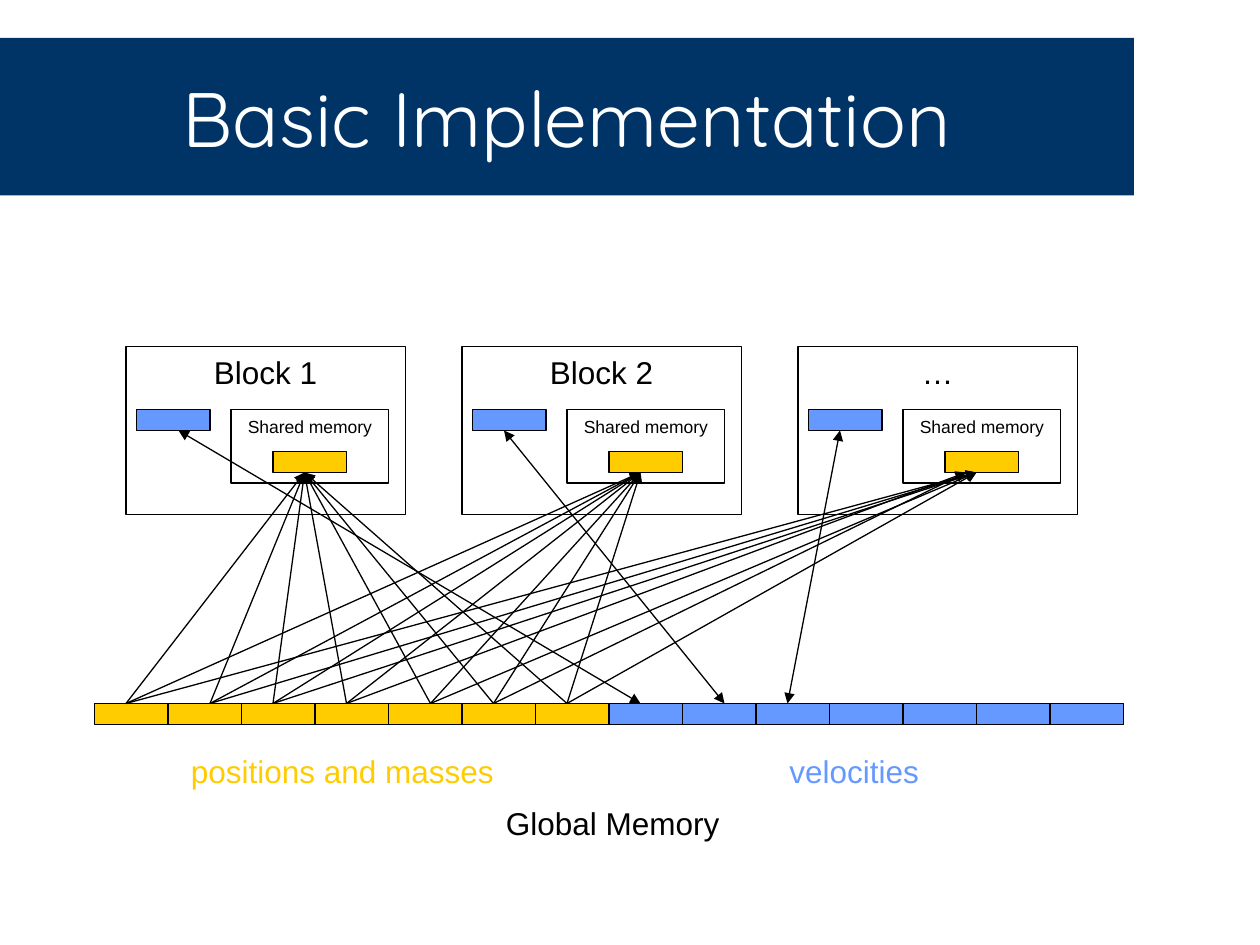
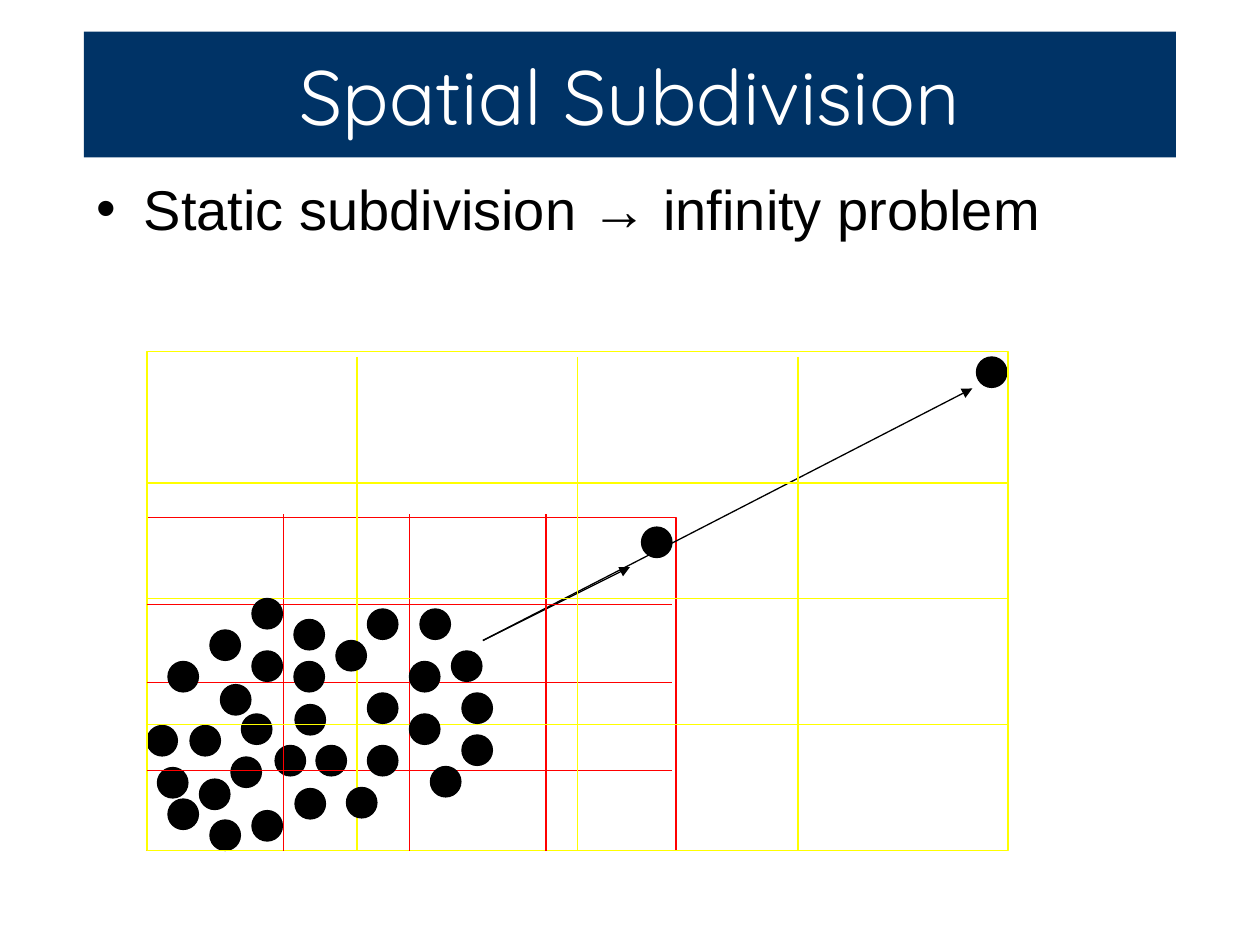
"""Build two slides on a particle simulation: memory layout and spatial subdivision."""
from lxml.etree import SubElement
from pptx import Presentation
from pptx.dml.color import RGBColor
from pptx.enum.shapes import MSO_CONNECTOR as Connector, MSO_SHAPE as Shape
from pptx.enum.text import MSO_ANCHOR as Anchor, MSO_AUTO_SIZE as AutoSize, PP_ALIGN as Align
from pptx.oxml.ns import qn
from pptx.util import Emu, Pt

PX = 7620
NAVY = RGBColor(0x00, 0x33, 0x66)
WHITE = RGBColor(0xFF, 0xFF, 0xFF)
BLACK = RGBColor(0x00, 0x00, 0x00)
GOLD = RGBColor(0xFF, 0xCC, 0x00)
BLUE = RGBColor(0x66, 0x99, 0xFF)
RED = RGBColor(0xFF, 0x00, 0x00)
YELLOW = RGBColor(0xFF, 0xFF, 0x00)

TITLE_ONLY, TITLE_AND_BODY = 5, 1
CELL_W, CELL_H, MEMORY_Y = 70, 20, 670
DOT = 29


def px(*lengths):
    return [Emu(length * PX) for length in lengths]


class Deck:
    """Hold the shared style and the slide being drawn."""

    title_font, text_font, line_width = "Quicksand", "Arial", Pt(0.75)

    def __init__(self):
        self.prs = Presentation()
        self.prs.slide_width, self.prs.slide_height = px(1200, 900)
        self.slide = None

    def add_text(self, frame, text, size, color, align, font=None):
        paragraph = frame.paragraphs[0]
        paragraph.alignment = align
        paragraph.space_before = Pt(0)
        run = paragraph.add_run()
        run.text = text
        run.font.name = font or self.text_font
        run.font.size = Pt(size)
        run.font.color.rgb = color

    def place(self, holder, box):
        holder.left, holder.top, holder.width, holder.height = px(*box)
        holder.text_frame.auto_size = AutoSize.NONE

    def new_slide(self, layout, title, box):
        self.slide = self.prs.slides.add_slide(self.prs.slide_layouts[layout])
        band = self.slide.shapes.title
        self.place(band, box)
        band.fill.solid()
        band.fill.fore_color.rgb = NAVY
        band.text_frame.vertical_anchor = Anchor.MIDDLE
        self.add_text(band.text_frame, title, 44, WHITE, Align.CENTER, self.title_font)

    def bullet(self, text, box):
        body = self.slide.placeholders[1]
        self.place(body, box)
        self.add_text(body.text_frame, text, 32, BLACK, Align.LEFT)

    def shape(self, kind, box, fill=None, line=BLACK, text=None, size=18):
        shape = self.slide.shapes.add_shape(kind, *px(*box))
        shape.shadow.inherit = False
        if fill is None:
            shape.fill.background()
        else:
            shape.fill.solid()
            shape.fill.fore_color.rgb = fill
        shape.line.color.rgb = line
        shape.line.width = self.line_width
        if text:
            shape.text_frame.vertical_anchor = Anchor.TOP
            shape.text_frame.word_wrap = False
            self.add_text(shape.text_frame, text, size, BLACK, Align.CENTER)

    def label(self, text, box, color):
        frame = self.slide.shapes.add_textbox(*px(*box)).text_frame
        frame.word_wrap = True
        self.add_text(frame, text, 18, color, Align.LEFT)

    def line(self, start, end, color=BLACK, heads=()):
        line = self.slide.shapes.add_connector(Connector.STRAIGHT, *px(*start, *end))
        line.line.color.rgb = color
        line.line.width = self.line_width
        properties = line.element.spPr
        for head in heads:
            SubElement(properties.find(qn("a:ln")), qn(head), type="triangle")
        SubElement(properties, qn("a:effectLst"))

    def cell(self, x, y, fill):
        self.shape(Shape.RECTANGLE, (x, y, CELL_W, CELL_H), fill)

    def particles(self, corners):
        for x, y in corners:
            self.shape(Shape.OVAL, (x, y, DOT, DOT), BLACK)

    def grid(self, columns, rows, top, right, color):
        for x in columns:
            self.line((x, top), (x, 810), color)
        for y in rows:
            self.line((140, y), (right, y), color)


def basic_implementation(deck):
    deck.new_slide(TITLE_ONLY, "Basic Implementation", (0, 36, 1080, 150))
    for i, block in enumerate(("Block 1", "Block 2", "…")):
        x = 120 + 320 * i
        deck.shape(Shape.RECTANGLE, (x, 330, 266, 160), text=block)
        deck.cell(x + 10, 390, BLUE)
        deck.shape(Shape.RECTANGLE, (x + 100, 390, 150, 70), text="Shared memory", size=10)
        deck.cell(x + 140, 430, GOLD)

    for i in range(14):
        deck.cell(90 + CELL_W * i, MEMORY_Y, GOLD if i < 7 else BLUE)
    deck.label("positions and masses", (170, 710, 330, 48), GOLD)
    deck.label("velocities", (740, 710, 160, 48), BLUE)
    deck.label("Global Memory", (470, 760, 227, 48), BLACK)

    for velocity_x, register_x in ((610, 170), (690, 480), (750, 800)):
        deck.line((velocity_x, MEMORY_Y), (register_x, 410), heads=("a:headEnd", "a:tailEnd"))
    for position_x in (120, 200, 260, 330, 410, 470, 540):
        last_x = 920 if position_x in (330, 470) else 930
        for shared_x in (290, 610, last_x):
            deck.line((position_x, MEMORY_Y), (shared_x, 450), heads=("a:tailEnd",))


def spatial_subdivision(deck):
    deck.new_slide(TITLE_AND_BODY, "Spatial Subdivision", (80, 30, 1040, 120))
    deck.bullet("Static subdivision → infinity problem", (80, 160, 1040, 640))

    behind_grid = (
        (181, 691), (281, 751), (220, 721), (301, 710), (230, 680), (190, 742), (150, 731),
        (262, 710), (200, 781), (240, 772), (160, 761), (140, 691), (281, 671), (210, 652),
    )
    before_grid = (
        (280, 630), (320, 610), (350, 660), (350, 710), (330, 750), (280, 590),
        (240, 570), (240, 620), (350, 580), (390, 630), (390, 680), (200, 600),
        (160, 630), (410, 730), (440, 660), (430, 620), (400, 580), (440, 700),
    )
    escaping = ((611, 502), (930, 340))

    deck.particles(behind_grid + escaping)
    deck.shape(Shape.RECTANGLE, (140, 493, 504, 317), line=RED)
    deck.shape(Shape.RECTANGLE, (140, 335, 820, 475), line=YELLOW)
    for target in ((600, 540), (926, 370)):
        deck.line((460, 610), target, heads=("a:tailEnd",))
    deck.grid((270, 390, 520), (576, 650, 734), 490, 640, RED)
    deck.grid((340, 550, 760), (460, 570, 690), 340, 960, YELLOW)
    deck.particles(before_grid)


def main():
    deck = Deck()
    basic_implementation(deck)
    spatial_subdivision(deck)
    deck.prs.save("out.pptx")


if __name__ == "__main__":
    main()
